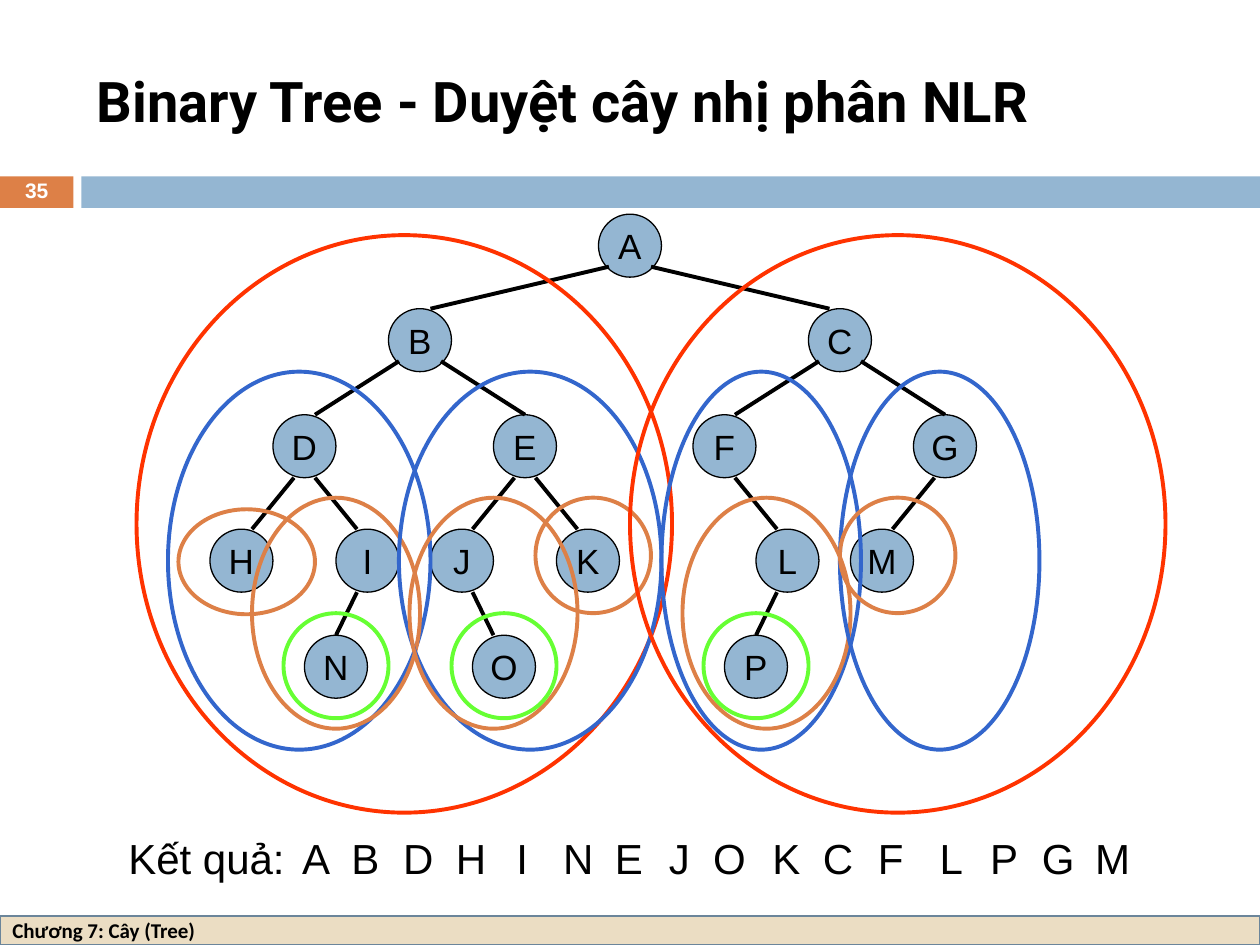
from pptx import Presentation, util as u
from pptx.dml.color import RGBColor
from pptx.enum import shapes, text
from pptx.oxml.ns import qn
from lxml import etree

COLOURS = {
    "black": "000000", "white": "FFFFFF", "node": "94B6D2", "accent": "DD8047",
    "footer": "EBDDC3", "footer_line": "6B859A",
    "red": "FF3300", "blue": "3366CC", "green": "66FF33",
}
LEFT, CENTER = text.PP_ALIGN.LEFT, text.PP_ALIGN.CENTER
RECT, OVAL = shapes.MSO_SHAPE.RECTANGLE, shapes.MSO_SHAPE.OVAL

NODE_SIZE = 36
LEVEL_TOPS = [122.4, 176.4, 237, 302.4, 363]
# Where a branch leaves its parent, per level: sideways from centre, down from top
BRANCH_STARTS = [(12, 30), (12, 30), (6, 36), (6, 36)]
CENTRED_ENDS = "NEPG"  # children whose branch ends at the top centre
CHILDREN = {"A": "BC", "B": "DE", "C": "FG", "D": "HI", "E": "JK",
            "F": "L", "G": "M", "I": "N", "J": "O", "L": "P"}
NODE_LEFTS = {"A": 342, "B": 222, "C": 462, "D": 156, "E": 282, "F": 396,
              "G": 522, "H": 120, "I": 192, "J": 246, "K": 318, "L": 432,
              "M": 486, "N": 174, "O": 270, "P": 414}

RING_COLOURS = [None, "red", "blue", "accent", "green"]
RING_TOPS = [None, 134.4, 212.4, 284.4, 350.4]
# Ring around each subtree: left, width, height
RINGS = {"B": (78, 306, 330), "C": (360, 306, 330),
         "D": (96, 150, 216), "E": (228, 150, 216),
         "F": (378, 114, 216), "G": (480, 114, 216),
         "H": (102, 78, 60), "I": (144, 96, 132), "J": (234, 96, 132),
         "K": (306, 66, 66), "L": (390, 96, 132), "M": (480, 66, 66),
         "N": (162, 60, 60), "O": (258, 60, 60), "P": (402, 60, 60)}
# Result letter of each node: left, width
RESULTS = {"A": (165.6, 30.2), "B": (193.7, 30.2), "D": (223.2, 31.7),
           "H": (253.4, 31.7), "I": (288, 20.9), "N": (314.6, 31.7),
           "E": (344.2, 30.2), "J": (375.1, 25.9), "O": (400.3, 33.1),
           "K": (434.2, 30.2), "C": (463, 31.7), "F": (494.6, 28.8),
           "L": (529.9, 27.4), "P": (558.7, 30.2), "G": (588.2, 33.1),
           "M": (618.5, 34.6)}


def colour(name):
    return RGBColor.from_string(COLOURS[name])


def points(*values):
    return [u.Pt(value) for value in values]


class TreePage:
    def __init__(self, page, font="Arial"):
        self.page = page
        self.font = font

    def add_words(self, shape, words, size, ink="black", font=None, bold=False,
                  align=CENTER, anchor=text.MSO_ANCHOR.MIDDLE, wrap=True):
        frame = shape.text_frame
        frame.word_wrap = wrap
        frame.vertical_anchor = anchor
        para = frame.paragraphs[0]
        para.alignment = align
        span = para.add_run()
        span.text = words
        span.font.name = font or self.font
        span.font.size = u.Pt(size)
        span.font.bold = bold
        span.font.color.rgb = colour(ink)
        return para

    def title(self, words, place):
        title = self.page.shapes.title
        title.left, title.top, title.width, title.height = points(*place)
        self.add_words(title, words, 32, font="Roboto", bold=True, align=LEFT)

    def shape(self, kind, place, fill=None, line=None, weight=2.25):
        shape = self.page.shapes.add_shape(kind, *points(*place))
        shape.shadow.inherit = False
        if fill:
            shape.fill.solid()
            shape.fill.fore_color.rgb = colour(fill)
        else:
            shape.fill.background()
        if line:
            shape.line.color.rgb = colour(line)
            shape.line.width = u.Pt(weight)
        else:
            shape.line.fill.background()
        return shape

    def label(self, words, place, size=24, **style):
        """Add a text box; by default it grows with its text."""
        box = self.page.shapes.add_textbox(*points(*place))
        style = {"anchor": text.MSO_ANCHOR.TOP, "wrap": False, **style}
        para = self.add_words(box, words, size, **style)
        if not style["wrap"]:
            box.text_frame.auto_size = text.MSO_AUTO_SIZE.SHAPE_TO_FIT_TEXT
        return para

    def node(self, name, level):
        place = (NODE_LEFTS[name], LEVEL_TOPS[level], NODE_SIZE, NODE_SIZE)
        circle = self.shape(OVAL, place, "node", "black", 0.75)
        self.add_words(circle, name, 20, wrap=False)

    def branch(self, parent, child, level):
        parent_x, child_x = (NODE_LEFTS[n] + NODE_SIZE / 2 for n in (parent, child))
        side = 1 if child_x > parent_x else -1
        across, down = BRANCH_STARTS[level]
        inset = 0 if child in CENTRED_ENDS else 6
        line = self.page.shapes.add_connector(
            shapes.MSO_CONNECTOR.STRAIGHT,
            *points(parent_x + side * across, LEVEL_TOPS[level] + down,
                    child_x - side * inset, LEVEL_TOPS[level + 1]))
        line.line.color.rgb = colour("black")
        line.line.width = u.Pt(2.25)
        etree.SubElement(line._element.spPr, qn("a:effectLst"))

    def ring(self, name, level):
        left, width, height = RINGS[name]
        top = 291 if name == "H" else RING_TOPS[level]
        self.shape(OVAL, (left, top, width, height), line=RING_COLOURS[level])


def preorder(name="A", level=0):
    yield name, level
    for child in CHILDREN.get(name, ""):
        yield from preorder(child, level + 1)


def main():
    deck = Presentation()
    deck.slide_width, deck.slide_height = points(720, 540)
    tree = TreePage(deck.slides.add_slide(deck.slide_layouts[5]))

    tree.shape(RECT, (0, 100.8, 42, 18), "accent")
    tree.shape(RECT, (46.5, 100.8, 673.5, 18), "node")
    footer = tree.shape(RECT, (0, 523.4, 720, 16.6), "footer", "footer_line", 1.5)
    tree.add_words(footer, "Chương 7: Cây (Tree)", 12, font="Calibri", bold=True,
                   align=LEFT)
    tree.title("Binary Tree - Duyệt cây nhị phân NLR", (48, 18, 642, 78))
    number = tree.label("35", (0, 100, 42, 19.5), 12, ink="white", bold=True,
                        anchor=text.MSO_ANCHOR.MIDDLE, wrap=True)
    number.line_spacing = 0.8

    visits = list(preorder())
    for name, level in visits:
        tree.node(name, level)
    for name, level in visits:
        for child in CHILDREN.get(name, ""):
            tree.branch(name, child, level)

    tree.label("Kết quả:", (66.2, 472.3, 103.7, 36))
    for name, level in visits:
        left, width = RESULTS[name]
        tree.label(name, (left, 472.3, width, 36))
        if name in RINGS:
            tree.ring(name, level)

    deck.save("out.pptx")


if __name__ == "__main__":
    main()
